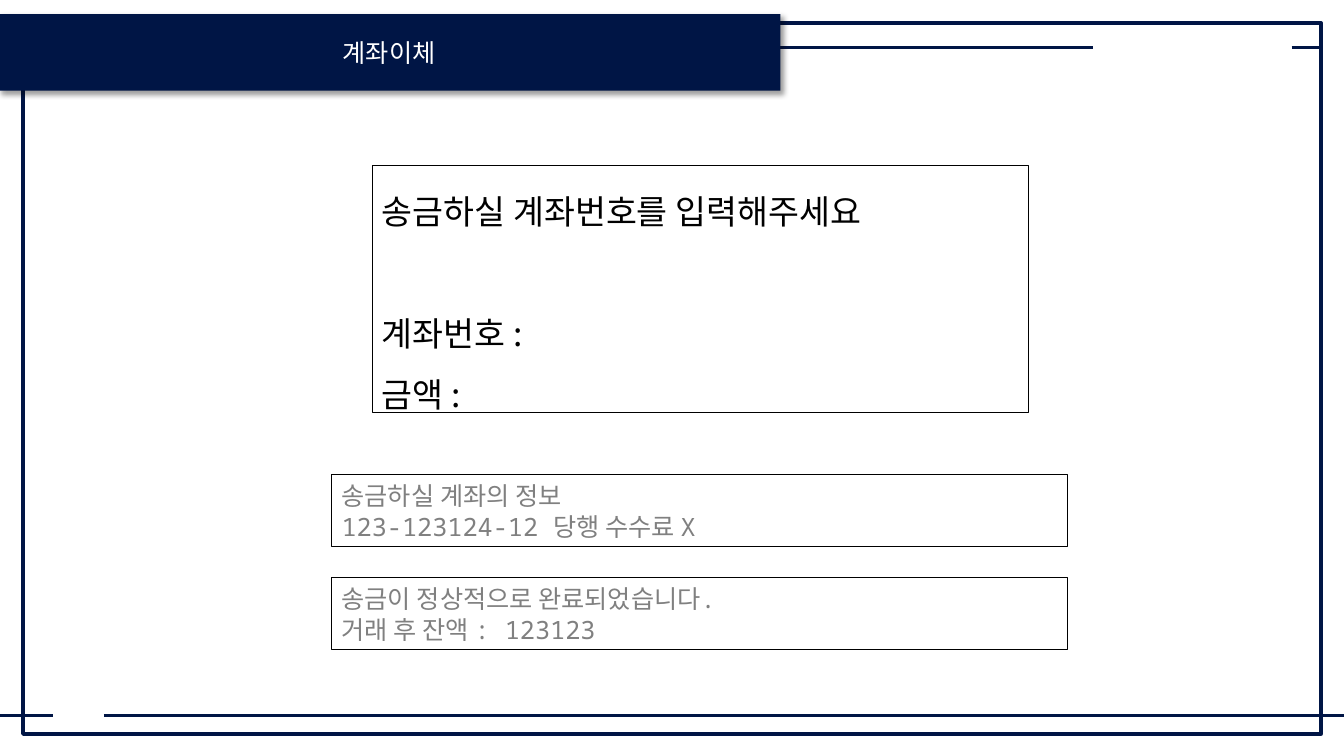
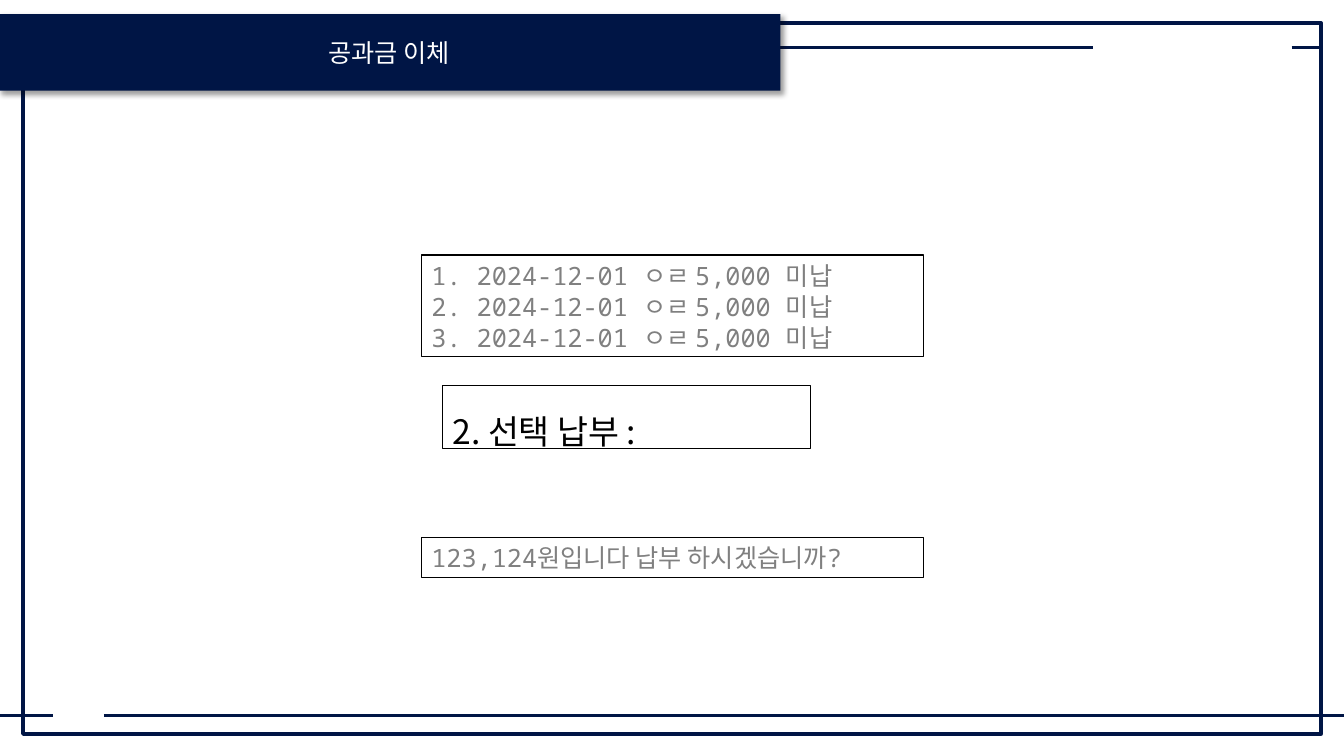
from lxml import etree
from pptx import Presentation
from pptx.dml.color import RGBColor
from pptx.enum.shapes import MSO_CONNECTOR, MSO_SHAPE
from pptx.enum.text import MSO_ANCHOR, MSO_AUTO_SIZE, PP_ALIGN
from pptx.oxml import parse_xml
from pptx.oxml.ns import nsdecls, qn
from pptx.util import Inches, Pt

RECT = MSO_SHAPE.RECTANGLE
STRAIGHT = MSO_CONNECTOR.STRAIGHT
MIDDLE = MSO_ANCHOR.MIDDLE
CENTER = PP_ALIGN.CENTER
NO_AUTOFIT = MSO_AUTO_SIZE.NONE

NAVY = RGBColor(0x00, 0x15, 0x45)
BLACK = RGBColor(0x00, 0x00, 0x00)
GRAY = RGBColor(0x80, 0x80, 0x80)
WHITE = RGBColor(0xFF, 0xFF, 0xFF)
SANS = "Noto Sans CJK KR"
MONO = "Noto Sans Mono"

# font, size, colour, line pitch in points
PROMPT = (SANS, 24, BLACK, 43.5)
OUTPUT = (MONO, 18, GRAY, 22)

# left, top, width, height, style, lines, index of the line set apart by a gap
SLIDES = [
    ("계좌이체", [
        (3.69, 1.64, 6.51, 2.45, PROMPT,
         ["송금하실 계좌번호를 입력해주세요", "계좌번호 :", "금액 :"], 1),
        (3.29, 4.71, 7.3, 0.71, OUTPUT,
         ["송금하실 계좌의 정보", "123-123124-12 당행 수수료 X"], None),
        (3.29, 5.73, 7.3, 0.71, OUTPUT,
         ["송금이 정상적으로 완료되었습니다.", "거래 후 잔액 : 123123"], None),
    ]),
    ("공과금 이체", [
        (4.39, 3.82, 3.65, 0.63, PROMPT, ["2. 선택 납부 :"], None),
        (4.18, 2.53, 4.98, 1.01, OUTPUT,
         [f"{n}. 2024-12-01 ㅇㄹ 5,000 미납" for n in (1, 2, 3)], None),
        (4.18, 5.33, 4.98, 0.4, OUTPUT,
         ["123,124원입니다 납부 하시겠습니까?"], None),
    ]),
]
# start x, end x, y
RULES = [(-0.02, 10.84, 0.47), (12.81, 13.1, 0.47),
         (0, 0.53, 7.1), (1.03, 13.33, 7.1)]

SHADOW = f"""<a:effectLst {nsdecls('a')}>
  <a:outerShdw blurRad="50800" dist="38100" dir="2700000" algn="tl" rotWithShape="0">
    <a:srgbClr val="000000"><a:alpha val="40000"/></a:srgbClr>
  </a:outerShdw>
</a:effectLst>"""


def format_run(r, font, size, color):
    r.font.name = font
    r.font.size = Pt(size)
    r.font.color.rgb = color
    ea = etree.SubElement(r.font._element, qn("a:ea"))
    ea.set("typeface", SANS)


def draw_frame(s, layout):
    """Draw the border and rules, then move them to the layout."""
    border = s.shapes.add_shape(RECT, Inches(0.23), Inches(0.23),
                                Inches(12.87), Inches(7.05))
    border.shadow.inherit = False
    border.fill.background()
    border.line.color.rgb = NAVY
    border.line.width = Pt(3)
    parts = [border]
    for x1, x2, y in RULES:
        rule = s.shapes.add_connector(STRAIGHT, Inches(x1), Inches(y),
                                      Inches(x2), Inches(y))
        rule.line.color.rgb = NAVY
        rule.line.width = Pt(2)
        etree.SubElement(rule._element.spPr, qn("a:effectLst"))
        parts.append(rule)
    for part in parts:
        layout.shapes._spTree.append(part._element)


prs = Presentation()
prs.slide_width = Inches(13.33)
prs.slide_height = Inches(7.5)
layout = prs.slide_layouts[5]
for ph in list(layout.placeholders)[1:]:
    ph._element.getparent().remove(ph._element)

for i, (title, boxes) in enumerate(SLIDES):
    s = prs.slides.add_slide(layout)
    if i == 0:
        draw_frame(s, layout)

    band = s.shapes.title
    band.left, band.top = Inches(-0.02), Inches(0.14)
    band.width, band.height = Inches(7.76), Inches(0.76)
    band.fill.solid()
    band.fill.fore_color.rgb = NAVY
    band._element.spPr.append(parse_xml(SHADOW))
    tf = band.text_frame
    tf.text = title
    tf.auto_size = NO_AUTOFIT
    tf.vertical_anchor = MIDDLE
    p = tf.paragraphs[0]
    p.alignment = CENTER
    format_run(p.runs[0], SANS, 18, WHITE)

    for left, top, width, height, style, lines, gap_line in boxes:
        font, size, color, pitch = style
        box = s.shapes.add_textbox(Inches(left), Inches(top),
                                   Inches(width), Inches(height))
        box.line.color.rgb = BLACK
        box.line.width = Pt(0.75)
        tf = box.text_frame
        tf.word_wrap = True
        tf.auto_size = NO_AUTOFIT
        tf.text = "\n".join(lines)
        for n, p in enumerate(tf.paragraphs):
            p.line_spacing = Pt(pitch)
            if n == gap_line:
                p.space_before = Pt(pitch)
            format_run(p.runs[0], font, size, color)

prs.save("out.pptx")
